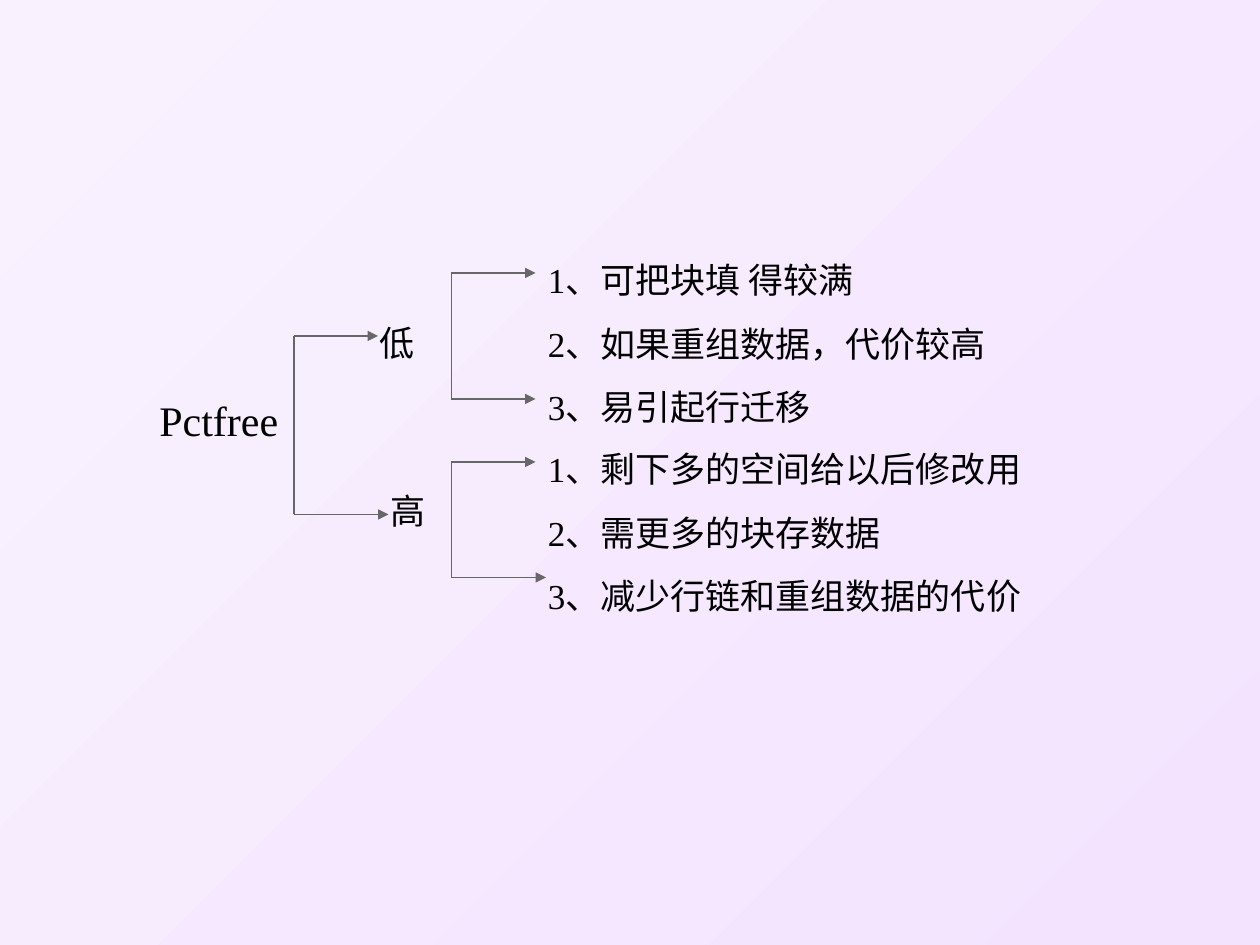
"""Build a slide that compares low and high Pctfree settings as a tree."""
from lxml.etree import SubElement
from pptx import Presentation
from pptx.dml.color import RGBColor
from pptx.enum.shapes import MSO_CONNECTOR
from pptx.enum.text import MSO_AUTO_SIZE
from pptx.oxml.ns import qn
from pptx.util import Inches, Pt

BLACK = RGBColor(0x00, 0x00, 0x00)
GRAY = RGBColor(0x67, 0x67, 0x67)
LILAC = RGBColor(0xF3, 0xE3, 0xFF)
PALE_LILAC = RGBColor(0xF9, 0xF2, 0xFE)
FONT = "Times New Roman"

deck = Presentation()
deck.slide_width, deck.slide_height = Inches(10), Inches(7.5)
CELL = deck.slide_width // 120
slide = deck.slides.add_slide(deck.slide_layouts[6])

backdrop = slide.background.fill
backdrop.gradient()
backdrop.gradient_angle = 135
for stop, color in zip(backdrop.gradient_stops, (LILAC, PALE_LILAC)):
    stop.color.rgb = color


def add_branch(start, end, arrow=False):
    ends = [CELL * place for place in (*start, *end)]
    branch = slide.shapes.add_connector(MSO_CONNECTOR.STRAIGHT, *ends)
    branch.line.color.rgb = GRAY
    branch.line.width = Pt(1)
    if arrow:
        SubElement(branch.line._get_or_add_ln(), qn("a:tailEnd"), type="triangle")
    SubElement(branch._element.spPr, qn("a:effectLst"))


def add_label(column, row, columns, rows, size, lines):
    label = slide.shapes.add_textbox(*(CELL * n for n in (column, row, columns, rows)))
    frame = label.text_frame
    frame.text = "\n".join(lines)
    frame.word_wrap = True
    frame.auto_size = MSO_AUTO_SIZE.SHAPE_TO_FIT_TEXT
    for index, paragraph in enumerate(frame.paragraphs):
        paragraph.space_before = Pt(size * 0.625 if index else 0)
        for run in paragraph.runs:
            run.font.size = Pt(size)
            run.font.name = FONT
            run.font.color.rgb = BLACK


forks = [
    (28, (36, 32), (37, 49)),
    (43, (51, 26), (51, 38)),
    (43, (51, 44), (52, 55)),
]
for stem, upper_tip, lower_tip in forks:
    add_branch((stem, upper_tip[1]), (stem, lower_tip[1]))
    for tip in (upper_tip, lower_tip):
        add_branch((stem, tip[1]), tip, arrow=True)

labels = [
    (14, 37, 14, 11, 24, ["Pctfree"]),
    (35, 30, 10, 5, 20, ["低"]),
    (36, 46, 12, 5, 20, ["高"]),
    (51, 24, 61, 17, 20, ["1、可把块填 得较满", "2、如果重组数据，代价较高", "3、易引起行迁移"]),
    (51, 42, 59, 23, 20, ["1、剩下多的空间给以后修改用", "2、需更多的块存数据", "3、减少行链和重组数据的代价"]),
]
for label_parts in labels:
    add_label(*label_parts)

deck.save("out.pptx")
